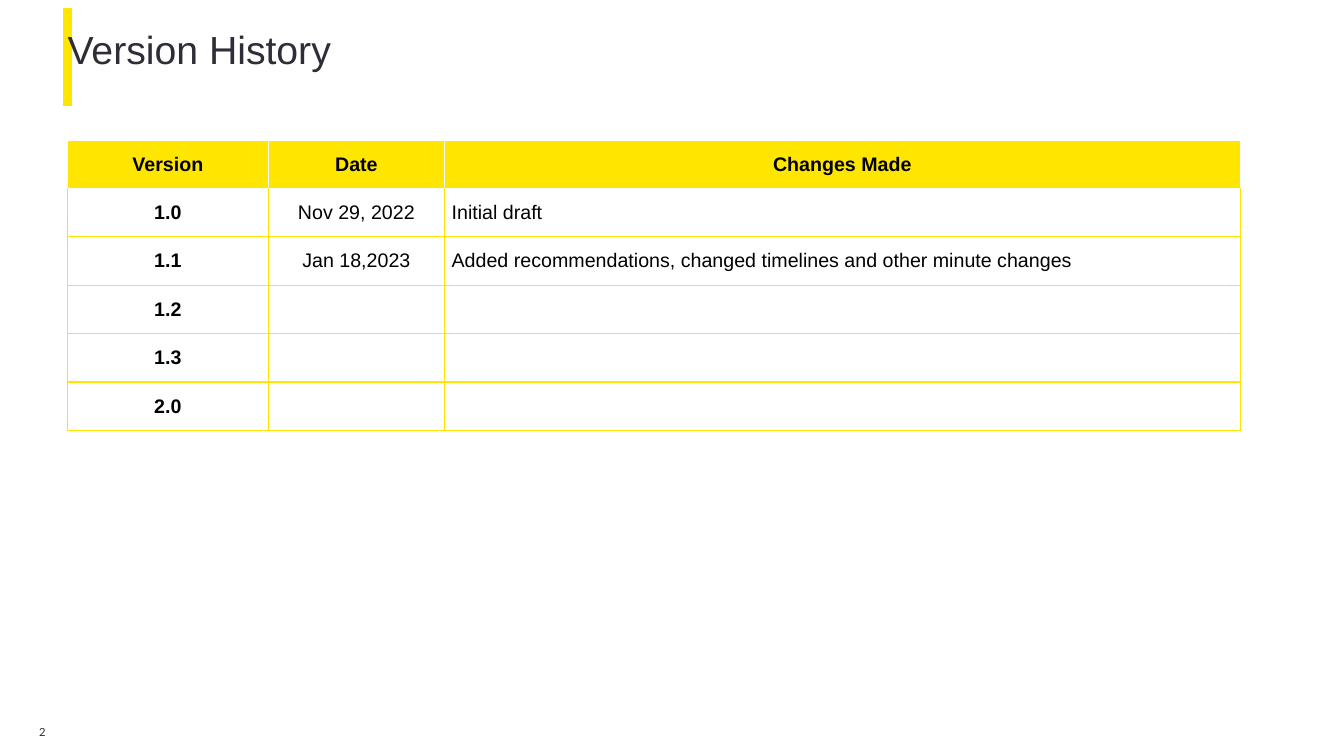
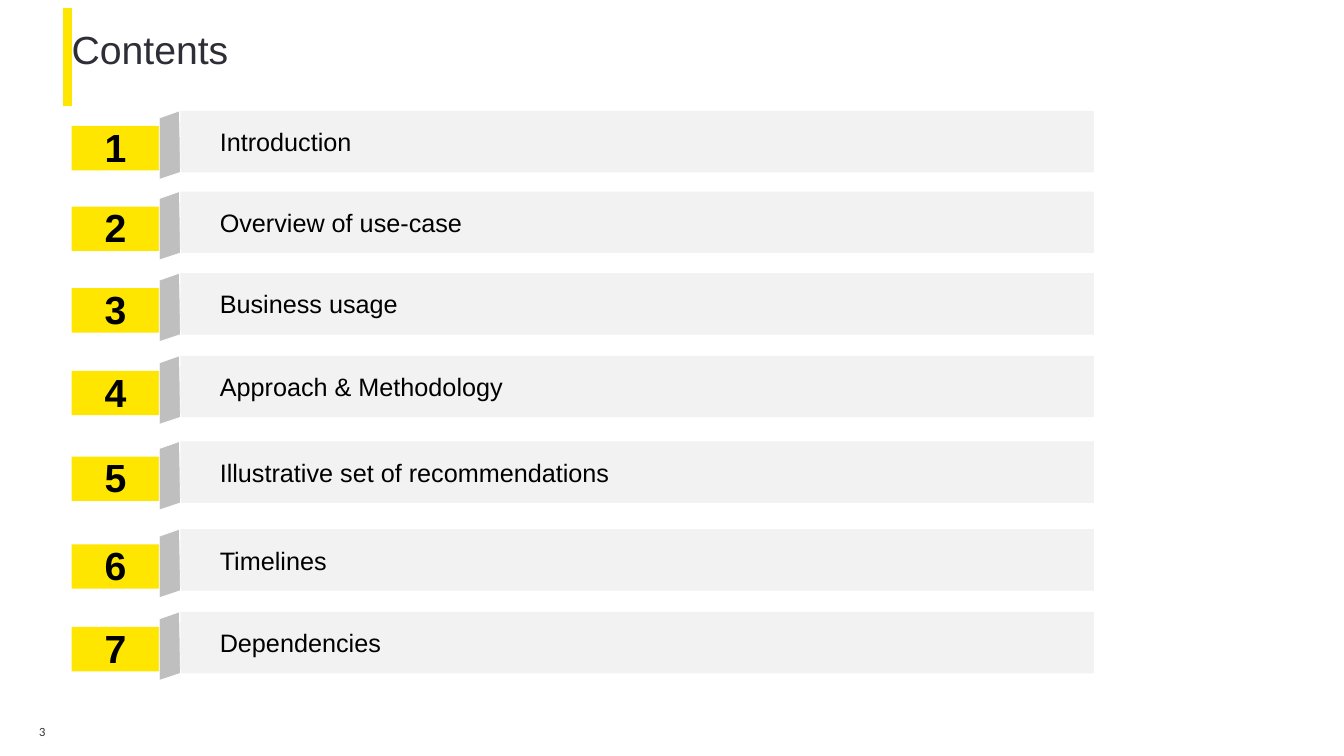
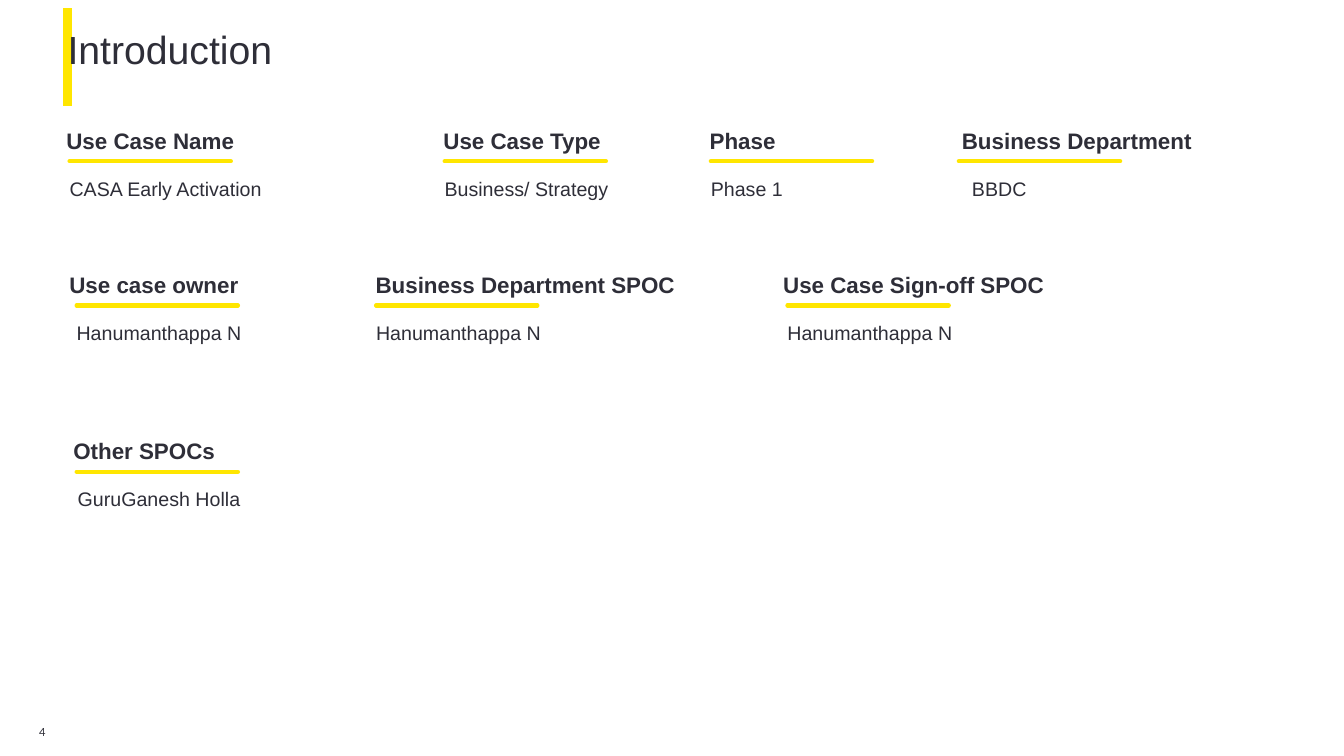
from lxml import etree
from pptx import Presentation
from pptx.dml.color import RGBColor
from pptx.enum.shapes import MSO_CONNECTOR, MSO_SHAPE
from pptx.enum.text import MSO_ANCHOR, MSO_AUTO_SIZE, PP_ALIGN
from pptx.oxml.ns import qn
from pptx.util import Inches, Pt

LEFT, CENTER = PP_ALIGN.LEFT, PP_ALIGN.CENTER
TOP, MIDDLE = MSO_ANCHOR.TOP, MSO_ANCHOR.MIDDLE
GROW, FIXED = MSO_AUTO_SIZE.SHAPE_TO_FIT_TEXT, MSO_AUTO_SIZE.NONE
RECT, STRAIGHT = MSO_SHAPE.RECTANGLE, MSO_CONNECTOR.STRAIGHT

HUES = {
    "yellow": "FFE600",
    "ink": "2E2E38",
    "black": "000000",
    "white": "FFFFFF",
    "pale": "F2F2F2",
    "grey": "BFBFBF",
}

HISTORY = [
    ("Version", "Date", "Changes Made"),
    ("1.0", "Nov 29, 2022", "Initial draft"),
    ("1.1", "Jan 18,2023",
     "Added recommendations, changed timelines and other minute changes"),
    ("1.2", "", ""),
    ("1.3", "", ""),
    ("2.0", "", ""),
]

TOPICS = [
    (1.1, "Introduction"),
    (1.9, "Overview of use-case"),
    (2.71, "Business usage"),
    (3.53, "Approach & Methodology"),
    (4.38, "Illustrative set of recommendations"),
    (5.25, "Timelines"),
    (6.07, "Dependencies"),
]

FACTS = [
    (1.24, [
        (0.29, 2.4, CENTER, 0.69, 0.69, "Use Case Name", "CASA Early Activation"),
        (4.3, 2.02, LEFT, 4.41, 4.41, "Use Case Type", "Business/ Strategy"),
        (6.94, 1.71, LEFT, 7.05, 7.05, "Phase", "Phase 1"),
        (9.33, 2.7, CENTER, 9.51, 9.64, "Business Department", "BBDC"),
    ]),
    (2.67, [
        (0.59, 3.3, LEFT, 0.76, 0.76, "Use case owner", "Hanumanthappa N"),
        (3.56, 3.3, CENTER, 3.73, 3.73, "Business Department SPOC", "Hanumanthappa N"),
        (7.67, 3.1, LEFT, 7.81, 7.81, "Use Case Sign-off SPOC", "Hanumanthappa N"),
    ]),
    (4.32, [
        (0.63, 3.1, LEFT, 0.76, 0.77, "Other SPOCs", "GuruGanesh Holla"),
    ]),
]


def hue(name):
    """Return the named colour."""
    return RGBColor.from_string(HUES[name])


def put(frame, text, size=14, color="ink", bold=False, align=LEFT, font="Arial",
        anchor=TOP, inset=(0, 0, 0, 0), lead=None, after=None, fit=FIXED):
    """Write one formatted paragraph into a text frame."""
    frame.word_wrap = True
    frame.auto_size = fit
    frame.vertical_anchor = anchor
    (frame.margin_left, frame.margin_top,
     frame.margin_right, frame.margin_bottom) = map(Inches, inset)
    line = frame.paragraphs[0]
    line.alignment = align
    line.line_spacing = lead
    line.space_after = after
    run = line.add_run()
    run.text = text
    run.font.name, run.font.size, run.font.bold = font, Pt(size), bold
    run.font.color.rgb = hue(color)


def label(slide, box, text, **form):
    """Add a text box."""
    put(slide.shapes.add_textbox(*map(Inches, box)).text_frame, text, **form)


def block(slide, box, fill, text, **form):
    """Add a filled rectangle with text."""
    shape = slide.shapes.add_shape(RECT, *map(Inches, box))
    shape.shadow.inherit = False
    shape.fill.solid()
    shape.fill.fore_color.rgb = hue(fill)
    shape.line.fill.background()
    put(shape.text_frame, text, color="black", **form)


def rule(slide, ends, width, cap="flat"):
    """Add a yellow line between two points."""
    line = slide.shapes.add_connector(STRAIGHT, *map(Inches, ends))
    line.line.color.rgb = hue("yellow")
    line.line.width = Pt(width)
    props = line.element.spPr
    props.find(qn("a:ln")).set("cap", cap)
    etree.SubElement(props, qn("a:effectLst"))
    return line


def frame(deck, layout, title, page, left=0.67):
    """Start a slide with its title and page number."""
    slide = deck.slides.add_slide(layout)
    head = slide.shapes.title
    head.left, head.top, head.width, head.height = map(
        Inches, (left, 0.32, 11.98, 0.65))
    put(head.text_frame, title, size=28, lead=0.85)
    label(slide, (0.29, 7.15, 0.46, 0.24), str(page), size=8, font="Lato",
          inset=(0.1, 0.05, 0.1, 0.05))
    return slide


def edge(cell, name):
    """Draw all four borders of a table cell."""
    props = cell._tc.get_or_add_tcPr()
    for spot, side in enumerate(("lnL", "lnR", "lnT", "lnB")):
        line = etree.Element(qn("a:" + side), w=str(Pt(1)))
        fill = etree.SubElement(line, qn("a:solidFill"))
        etree.SubElement(fill, qn("a:srgbClr"), val=HUES[name])
        props.insert(spot, line)


def history(slide, left, top, widths, height):
    """Add the table of versions."""
    box = map(Inches, (left, top, sum(widths), height * len(HISTORY)))
    table = slide.shapes.add_table(len(HISTORY), len(widths), *box).table
    table.first_row = table.horz_banding = False
    for col, width in zip(table.columns, widths):
        col.width = Inches(width)
    for r, row in enumerate(HISTORY):
        table.rows[r].height = Inches(height)
        for c, text in enumerate(row):
            cell = table.cell(r, c)
            cell.vertical_anchor = MIDDLE
            cell.margin_left = cell.margin_right = Inches(0.07)
            cell.margin_top = cell.margin_bottom = 0
            if r == 0:
                cell.fill.solid()
                cell.fill.fore_color.rgb = hue("yellow")
            else:
                cell.fill.background()
            edge(cell, "yellow" if r > 1 else "white")
            if r == 1:
                for side in ("lnL", "lnR", "lnB"):
                    tint = cell._tc.tcPr.find(qn("a:" + side))
                    tint.find(".//" + qn("a:srgbClr")).set("val", HUES["yellow"])
            if text:
                put(cell.text_frame, text, color="black", bold=r == 0 or c == 0,
                    align=LEFT if r and c == 2 else CENTER)


def topic(slide, left, top, number, text):
    """Add a numbered entry with its folded edge."""
    block(slide, (left + 1.08, top, 9.06, 0.61), "pale", text, size=18,
          anchor=MIDDLE, inset=(0.39, 0, 0, 0))
    block(slide, (left, top + 0.15, 0.87, 0.44), "yellow", str(number), size=28,
          bold=True, align=CENTER, anchor=MIDDLE, inset=(0, 0.04, 0, 0),
          lead=0.85, after=Pt(6), fit=GROW)
    spots = [(Inches(left + 0.87 + x), Inches(top + y))
             for x, y in ((0, 0.07), (0.2, 0), (0.21, 0.61), (0, 0.68))]
    path = slide.shapes.build_freeform(*spots[0])
    path.add_line_segments(spots[1:], close=True)
    fold = path.convert_to_shape()
    fold.shadow.inherit = False
    fold.fill.solid()
    fold.fill.fore_color.rgb = hue("grey")
    fold.line.color.rgb = hue("white")
    fold.line.width = Pt(0.5)


def fact(slide, top, left, width, align, start, inner, head, text):
    """Add an underlined heading with its value below."""
    label(slide, (left, top, width, 0.34), head, size=16, bold=True, align=align,
          anchor=MIDDLE, inset=(0.1, 0.05, 0.1, 0.05), lead=Pt(17), after=Pt(6),
          fit=GROW)
    rule(slide, (start, top + 0.36, start + 1.6, top + 0.36), 3, cap="rnd")
    label(slide, (inner, top + 0.51, 2.4, 0.24), text, inset=(0, 0.04, 0, 0),
          lead=0.85, after=Pt(6), fit=GROW)


def main():
    """Build the deck."""
    deck = Presentation()
    deck.slide_width, deck.slide_height = Inches(13.33), Inches(7.5)
    layout = deck.slide_layouts[5]

    slide = frame(deck, layout, "Version History", 2)
    bar = rule(slide, (0.67, 0.08, 0.67, 1.05), 6)
    layout.shapes.element.append(bar.element)
    history(slide, 0.67, 1.39, (1.99, 1.75, 7.89), 0.48)

    slide = frame(deck, layout, "Contents", 3, left=0.71)
    for number, (top, text) in enumerate(TOPICS, 1):
        topic(slide, 0.71, top, number, text)

    slide = frame(deck, layout, "Introduction", 4)
    for top, row in FACTS:
        for item in row:
            fact(slide, top, *item)

    deck.save("out.pptx")


if __name__ == "__main__":
    main()
